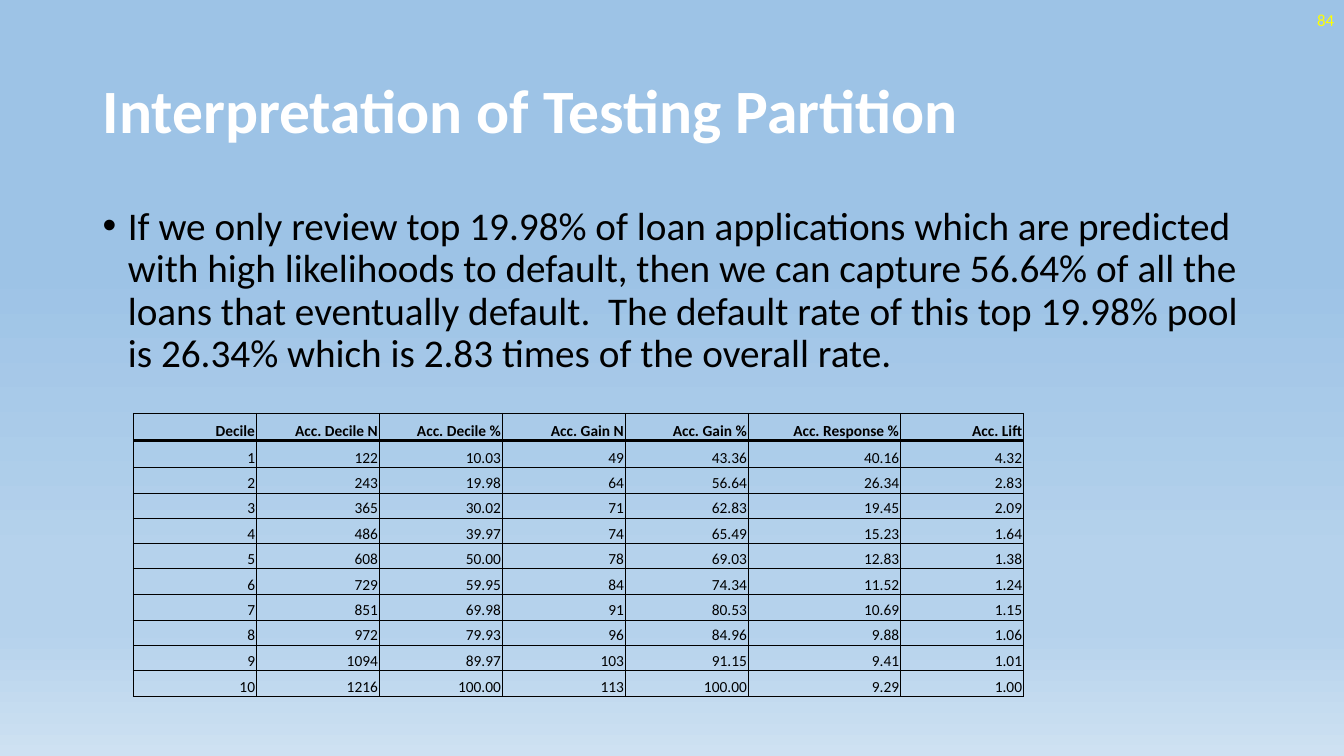
"""Build the slide that interprets the testing partition with a decile gain table."""
from dataclasses import dataclass

from lxml import etree
from pptx import Presentation
from pptx import util as u
from pptx.dml.color import RGBColor
from pptx.enum import text
from pptx.oxml.ns import qn
from pptx.slide import Slide
from pptx.table import _Cell
from pptx.text.text import _Paragraph

EMU_PER_PX = 9144
FONT = "Calibri"
WHITE = RGBColor(0xFF, 0xFF, 0xFF)
BLACK = RGBColor(0x00, 0x00, 0x00)
YELLOW = RGBColor(0xFF, 0xFF, 0x00)
SKY = RGBColor(0x9D, 0xC3, 0xE6)
PALE_SKY = RGBColor(0xB5, 0xD2, 0xEC)
HAZE = RGBColor(0xCE, 0xE1, 0xF2)
BACKGROUND_STOPS = ((35, SKY), (74, PALE_SKY), (83, PALE_SKY), (100, HAZE))

THIN, THICK = 0.5, 2
TABLE_LEFT, TABLE_TOP = 132, 410
COLUMN_WIDTHS = (122, 122, 122, 122, 122, 151, 122)
HEAD_HEIGHT = 27
LOWER_ROWS, LOWER_HEIGHT = 9, 227
HEADINGS = ("Decile", "Acc. Decile N", "Acc. Decile %", "Acc. Gain N",
            "Acc. Gain %", "Acc. Response %", "Acc. Lift")
DECILES = (
    ("1", "122", "10.03", "49", "43.36", "40.16", "4.32"),
    ("2", "243", "19.98", "64", "56.64", "26.34", "2.83"),
    ("3", "365", "30.02", "71", "62.83", "19.45", "2.09"),
    ("4", "486", "39.97", "74", "65.49", "15.23", "1.64"),
    ("5", "608", "50.00", "78", "69.03", "12.83", "1.38"),
    ("6", "729", "59.95", "84", "74.34", "11.52", "1.24"),
    ("7", "851", "69.98", "91", "80.53", "10.69", "1.15"),
    ("8", "972", "79.93", "96", "84.96", "9.88", "1.06"),
    ("9", "1094", "89.97", "103", "91.15", "9.41", "1.01"),
    ("10", "1216", "100.00", "113", "100.00", "9.29", "1.00"),
)


@dataclass(frozen=True)
class TextBlock:
    """A text box with one paragraph, placed in px."""
    words: str
    left: int
    top: int
    width: int
    height: int
    size: int
    color: RGBColor
    bold: bool = False
    anchor: text.MSO_ANCHOR = text.MSO_ANCHOR.TOP
    align: text.PP_ALIGN = text.PP_ALIGN.LEFT
    line_spacing: float = 1.0
    bullet_indent: int = 0


BLOCKS = (
    TextBlock("Interpretation of Testing Partition", 92, 40, 1150, 145, 44, WHITE,
              bold=True, anchor=text.MSO_ANCHOR.MIDDLE, line_spacing=0.9),
    TextBlock("If we only review top 19.98% of loan applications which are predicted "
              "with high likelihoods to default, then we can capture 56.64% of all the "
              "loans that eventually default.  The default rate of this top 19.98% pool "
              "is 26.34% which is 2.83 times of the overall rate.",
              92, 200, 1150, 476, 28, BLACK, line_spacing=0.9, bullet_indent=25),
    TextBlock("84", 1033, 0, 300, 40, 12, YELLOW,
              anchor=text.MSO_ANCHOR.MIDDLE, align=text.PP_ALIGN.RIGHT),
)


def px(length: int) -> u.Emu:
    """Turn px into EMU."""
    return u.Emu(length * EMU_PER_PX)


def paint_background(page: Slide) -> None:
    """Fill the page with a top-to-bottom gradient."""
    fill = page.background.fill
    fill.gradient()
    fill.gradient_angle = 270
    stops = page.element.find(".//" + qn("a:gsLst"))
    for stop in list(stops):
        stops.remove(stop)
    for percent, color in BACKGROUND_STOPS:
        stop = etree.SubElement(stops, qn("a:gs"), pos=str(percent * 1000))
        etree.SubElement(stop, qn("a:srgbClr"), val=str(color))


def style_paragraph(para: _Paragraph, size: int, color: RGBColor, bold: bool,
                    align: text.PP_ALIGN) -> None:
    """Set the font and alignment of a paragraph."""
    para.alignment = align
    para.font.name = FONT
    para.font.size = u.Pt(size)
    para.font.bold = bold
    para.font.color.rgb = color


def add_bullet(para: _Paragraph, indent: int) -> None:
    """Give a paragraph a hanging round bullet."""
    properties = para._p.get_or_add_pPr()
    properties.set("marL", str(px(indent)))
    properties.set("indent", str(px(-indent)))
    bullet_font = etree.Element(qn("a:buFont"), typeface="Arial")
    bullet = etree.Element(qn("a:buChar"), char="•")
    run_defaults = properties.find(qn("a:defRPr"))
    run_defaults.addprevious(bullet_font)
    run_defaults.addprevious(bullet)


def add_text_block(page: Slide, block: TextBlock) -> None:
    """Draw one text block."""
    box = page.shapes.add_textbox(px(block.left), px(block.top),
                                  px(block.width), px(block.height))
    frame = box.text_frame
    frame.word_wrap = True
    frame.vertical_anchor = block.anchor
    para = frame.paragraphs[0]
    para.text = block.words
    para.line_spacing = block.line_spacing
    style_paragraph(para, block.size, block.color, block.bold, block.align)
    if block.bullet_indent:
        para.space_before = u.Pt(10)
        add_bullet(para, block.bullet_indent)


def add_borders(cell: _Cell, top: float, bottom: float) -> None:
    """Rule all four sides of a cell in black."""
    properties = cell._tc.get_or_add_tcPr()
    sides = (("a:lnL", THIN), ("a:lnR", THIN), ("a:lnT", top), ("a:lnB", bottom))
    for place, (tag, points) in enumerate(sides):
        line = etree.Element(qn(tag), w=str(u.Pt(points)))
        solid = etree.SubElement(line, qn("a:solidFill"))
        etree.SubElement(solid, qn("a:srgbClr"), val=str(BLACK))
        properties.insert(place, line)


def fill_cell(cell: _Cell, words: str, row: int) -> None:
    """Write and style one table cell."""
    cell.fill.background()
    cell.vertical_anchor = text.MSO_ANCHOR.BOTTOM
    cell.margin_left = cell.margin_right = cell.margin_top = px(1)
    cell.margin_bottom = 0
    para = cell.text_frame.paragraphs[0]
    para.text = words
    style_paragraph(para, 11, BLACK, row == 0, text.PP_ALIGN.RIGHT)
    add_borders(cell, THICK if row == 1 else THIN, THICK if row == 0 else THIN)


def row_heights() -> list[int]:
    """Share the lower height among the rows in whole px."""
    edges = [LOWER_HEIGHT * row // LOWER_ROWS for row in range(LOWER_ROWS + 1)]
    return [HEAD_HEIGHT] * 2 + [low - high for high, low in zip(edges, edges[1:])]


def add_gain_table(page: Slide) -> None:
    """Draw the decile gain table."""
    rows = (HEADINGS, *DECILES)
    heights = row_heights()
    table = page.shapes.add_table(len(rows), len(HEADINGS), px(TABLE_LEFT), px(TABLE_TOP),
                                  px(sum(COLUMN_WIDTHS)), px(sum(heights))).table
    table.first_row = table.horz_banding = False
    for column, width in zip(table.columns, COLUMN_WIDTHS):
        column.width = px(width)
    for row, (values, height) in enumerate(zip(rows, heights)):
        table.rows[row].height = px(height)
        for column, words in enumerate(values):
            fill_cell(table.cell(row, column), words, row)


def main() -> None:
    """Build and save the deck."""
    deck = Presentation()
    deck.slide_width, deck.slide_height = px(1333), px(750)
    page = deck.slides.add_slide(deck.slide_layouts[6])
    paint_background(page)
    for block in BLOCKS:
        add_text_block(page, block)
    add_gain_table(page)
    deck.save("out.pptx")


if __name__ == "__main__":
    main()
